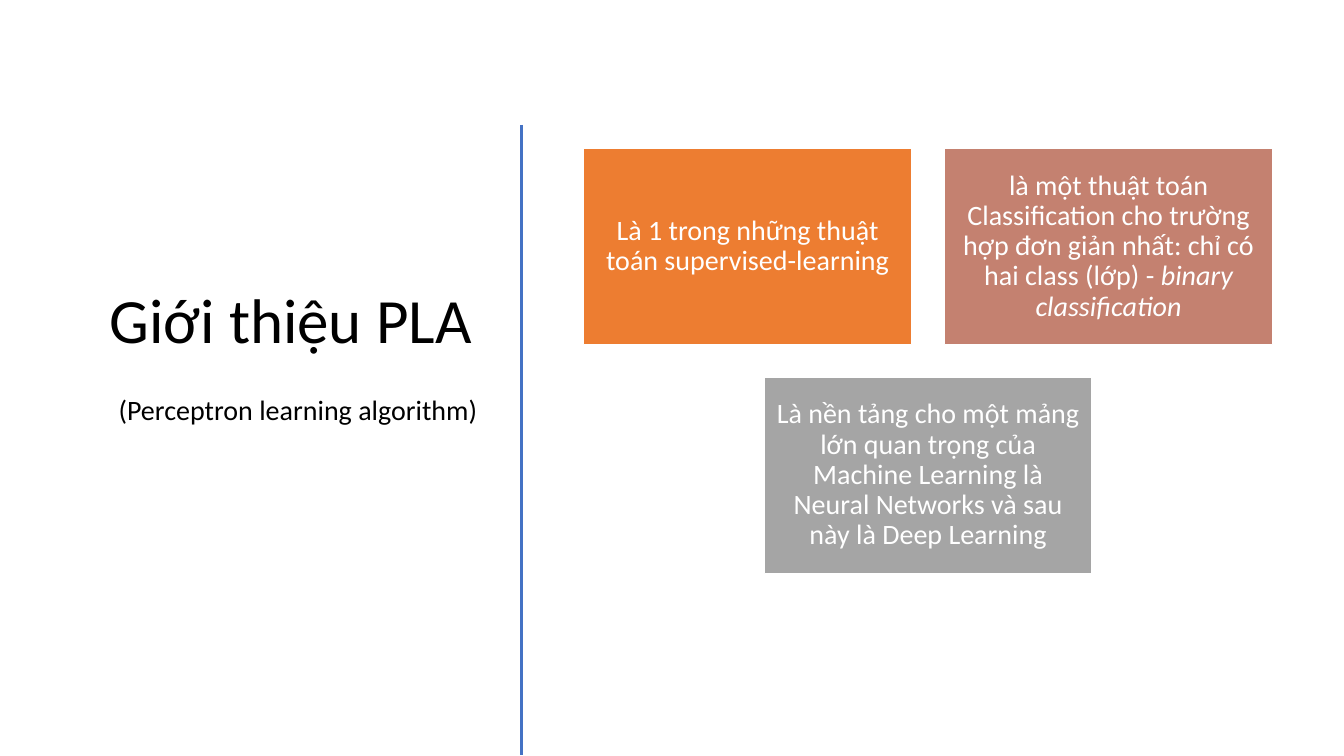
import pptx
import pptx.dml.color
import pptx.enum.shapes
import pptx.enum.text
import pptx.oxml.ns
import pptx.util
from lxml import etree
from pptx.util import Inches

FONT = "Calibri"
CARD_WIDTH, CARD_HEIGHT = 3.25, 1.95
CARD_LEFT, CARD_TOP = 5.79, 1.47
CARD_STEP_X, CARD_STEP_Y = 3.58, 2.27

# Column, row, fill and text runs (text, italic); half a column centres a card
CARDS = [
    (0, 0, "ED7D31", [("Là 1 trong những thuật toán supervised-learning", False)]),
    (1, 0, "C48170", [
        ("là một thuật toán Classification cho trường hợp đơn giản nhất: "
         "chỉ có hai class (lớp) - ", False),
        ("binary classification", True),
    ]),
    (0.5, 1, "A5A5A5", [
        ("Là nền tảng cho một mảng lớn quan trọng của Machine Learning là "
         "Neural Networks và sau này là Deep Learning", False),
    ]),
]


def color(hex_string):
    return pptx.dml.color.RGBColor.from_string(hex_string)


def style_paragraph(paragraph, size, hex_string, space_after=0):
    paragraph.alignment = pptx.enum.text.PP_ALIGN.CENTER
    paragraph.line_spacing = 0.9
    paragraph.space_after = pptx.util.Pt(space_after)
    paragraph.font.name = FONT
    paragraph.font.size = pptx.util.Pt(size)
    paragraph.font.color.rgb = color(hex_string)


def prepare_frame(frame):
    frame.word_wrap = True
    frame.vertical_anchor = pptx.enum.text.MSO_ANCHOR.MIDDLE


def add_heading(slide, title, subtitle):
    box = slide.shapes.add_textbox(Inches(0.73), Inches(0.53), Inches(4.31), Inches(6.11))
    frame = box.text_frame
    prepare_frame(frame)
    title_paragraph = frame.paragraphs[0]
    title_paragraph.text = title
    subtitle_paragraph = frame.add_paragraph()
    # The leading space keeps the title size, so both lines are equally tall
    for text, size in [(" ", 45), (subtitle, 20)]:
        run = subtitle_paragraph.add_run()
        run.text = text
        run.font.size = pptx.util.Pt(size)
    for paragraph in frame.paragraphs:
        style_paragraph(paragraph, 45, "000000", space_after=6)


def add_divider(slide):
    divider = slide.shapes.add_connector(
        pptx.enum.shapes.MSO_CONNECTOR.STRAIGHT,
        Inches(5.17), Inches(1.24), Inches(5.17), Inches(7.49))
    divider.line.color.rgb = color("4472C4")
    divider.line.width = pptx.util.Pt(2)
    etree.SubElement(divider._element.spPr, pptx.oxml.ns.qn("a:effectLst"))


def add_card(slide, column, row, fill, runs):
    card = slide.shapes.add_shape(
        pptx.enum.shapes.MSO_SHAPE.RECTANGLE,
        Inches(CARD_LEFT + column * CARD_STEP_X), Inches(CARD_TOP + row * CARD_STEP_Y),
        Inches(CARD_WIDTH), Inches(CARD_HEIGHT))
    card.shadow.inherit = False
    card.fill.solid()
    card.fill.fore_color.rgb = color(fill)
    card.line.color.rgb = color("FFFFFF")
    card.line.width = pptx.util.Pt(1)
    frame = card.text_frame
    prepare_frame(frame)
    frame.margin_left = frame.margin_right = Inches(0.08)
    frame.margin_top = frame.margin_bottom = Inches(0.08)
    paragraph = frame.paragraphs[0]
    style_paragraph(paragraph, 20, "FFFFFF")
    for text, italic in runs:
        run = paragraph.add_run()
        run.text = text
        if italic:
            run.font.italic = True


def main():
    presentation = pptx.Presentation()
    presentation.slide_width = Inches(13.33)
    presentation.slide_height = Inches(7.5)
    slide = presentation.slides.add_slide(presentation.slide_layouts[6])

    # Heading on the left, divider beside it
    add_heading(slide, "Giới thiệu PLA", "(Perceptron learning algorithm)")
    add_divider(slide)

    # Cards on the right
    for column, row, fill, runs in CARDS:
        add_card(slide, column, row, fill, runs)

    presentation.save("out.pptx")


if __name__ == "__main__":
    main()
